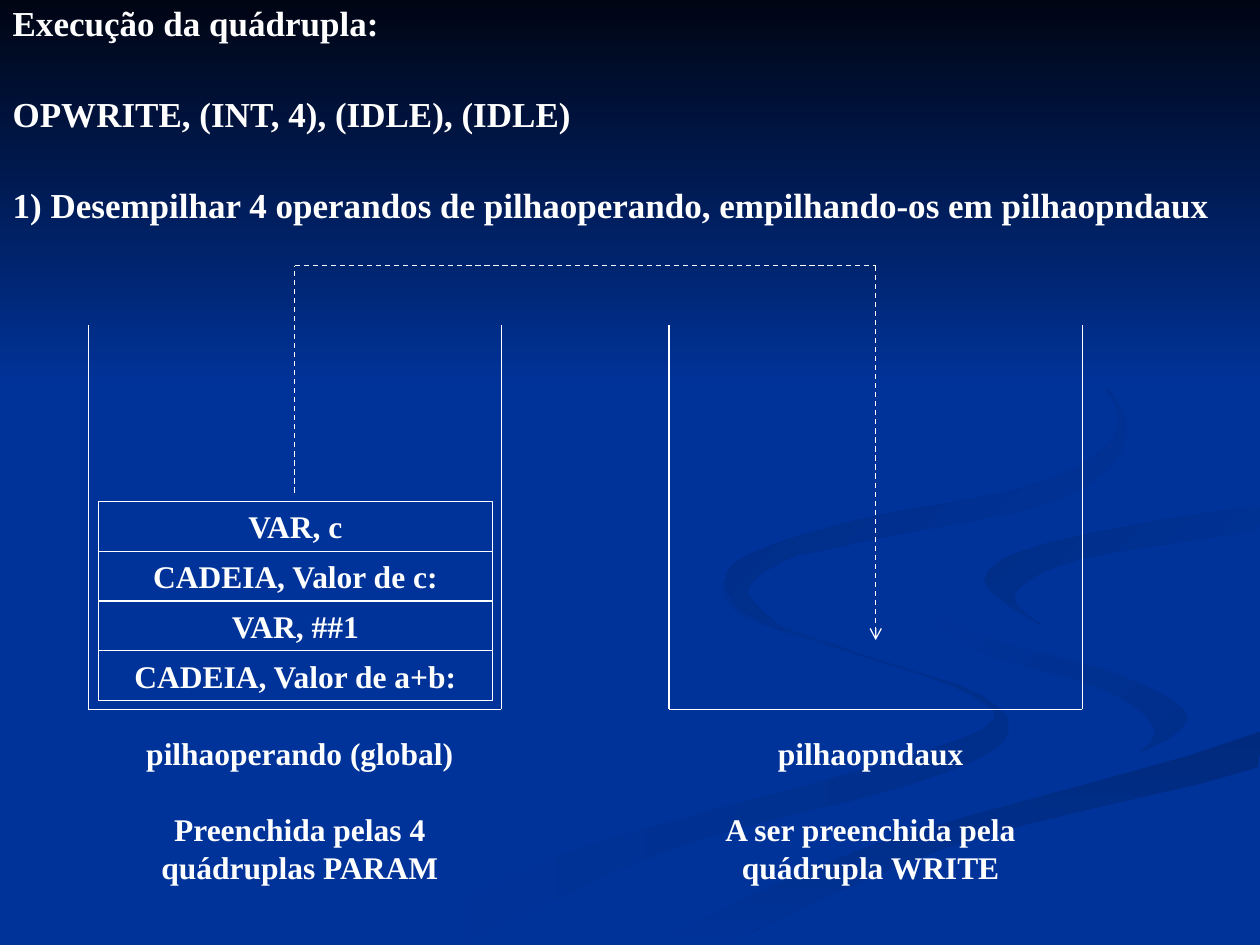
from lxml.etree import SubElement
from pptx import Presentation
from pptx.dml.color import RGBColor
from pptx.enum.dml import MSO_LINE
from pptx.enum.shapes import MSO_CONNECTOR, MSO_SHAPE
from pptx.enum.text import MSO_ANCHOR, MSO_AUTO_SIZE, PP_ALIGN
from pptx.oxml.ns import qn
from pptx.util import Inches, Pt

presentation = Presentation()
presentation.slide_width = Inches(10)
presentation.slide_height = Inches(7.5)
slide = presentation.slides.add_slide(presentation.slide_layouts[1])
shapes = slide.shapes

# All lengths are thousandths of the slide's width
UNIT = presentation.slide_width // 1000
WHITE = "FFFFFF"
BLUE = "003399"


def write(text_frame, lines, size, alignment, gap):
    text_frame.word_wrap = True
    text_frame.text = "\n".join(lines)
    for index, paragraph in enumerate(text_frame.paragraphs):
        paragraph.alignment = alignment
        paragraph.space_before = Pt(gap if index else 0)
        for run in paragraph.runs:
            run.font.name = "Times New Roman"
            run.font.size = Pt(size)
            run.font.bold = True
            run.font.color.rgb = RGBColor.from_string(WHITE)


def connect(start, end, dashed=False):
    points = [value * UNIT for value in (*start, *end)]
    connector = shapes.add_connector(MSO_CONNECTOR.STRAIGHT, *points)
    connector.line.color.rgb = RGBColor.from_string(WHITE)
    connector.line.width = Pt(0.75)
    if dashed:
        connector.line.dash_style = MSO_LINE.DASH
    SubElement(connector._element.spPr, qn("a:effectLst"))
    return connector


# Background: winding ribbons, then the dark band across the top
slide.background.fill.solid()
slide.background.fill.fore_color.rgb = RGBColor.from_string(BLUE)

# Each ribbon: first colour, last colour, clockwise angle, outline
ribbons = [
    (BLUE, "002E8B", 0, [
        (781, 553), (682, 519), (594, 485), (575, 459), (586, 487), (679, 519), (770, 551),
        (780, 579), (652, 620), (458, 674), (300, 749), (361, 749), (532, 674),
        (721, 623), (797, 588)]),
    (BLUE, "002E8B", 45, [
        (943, 570), (888, 535), (774, 503), (724, 464), (766, 512), (880, 549),
        (917, 581), (894, 605)]),
    ("002A7D", BLUE, 90, [
        (503, 749), (571, 749), (752, 672), (998, 609), (998, 581), (764, 647), (599, 706)]),
    (BLUE, BLUE, 0, [
        (725, 464), (775, 503), (889, 535), (943, 575), (843, 618), (663, 668), (477, 749),
        (519, 747), (696, 669), (999, 581), (999, 538), (832, 498), (781, 463), (850, 427),
        (999, 402), (999, 387), (788, 422)]),
    ("002D86", BLUE, 45, [
        (781, 460), (826, 496), (805, 472), (859, 443), (998, 420), (998, 402), (835, 430)]),
    ("002B82", BLUE, 45, [
        (683, 430), (841, 396), (894, 344), (854, 283), (762, 233), (846, 279), (889, 335),
        (830, 382), (676, 414), (584, 446), (584, 479), (622, 500), (593, 470), (624, 444)]),
]
backdrop = []
for first, last, angle, outline in ribbons:
    # Round the outline with a closed Catmull-Rom curve, four steps a side
    curve = []
    for index, current in enumerate(outline):
        before = outline[index - 1]
        after, beyond = (outline[(index + step) % len(outline)] for step in (1, 2))
        for share in (0, 0.25, 0.5, 0.75):
            curve.append(tuple(
                min(1000, round(b + share / 2 * (
                    c - a + share * (2 * a - 5 * b + 4 * c - d
                                     + share * (3 * b - a - 3 * c + d)))))
                for a, b, c, d in zip(before, current, after, beyond)))
    builder = shapes.build_freeform(*curve[0], scale=UNIT)
    builder.add_line_segments(curve[1:], close=True)
    backdrop.append((builder.convert_to_shape(), first, last, angle))
band = shapes.add_shape(MSO_SHAPE.RECTANGLE, 0, 0, presentation.slide_width, 308 * UNIT)
backdrop.append((band, "000514", BLUE, 90))

for area, first, last, angle in backdrop:
    area.shadow.inherit = False
    area.line.fill.background()
    area.fill.gradient()
    area.fill.gradient_angle = -angle % 360
    for stop, color in zip(area.fill.gradient_stops, (first, last)):
        stop.color.rgb = RGBColor.from_string(color)

# Heading lines in the body placeholder, raised above the backdrop
title, body = slide.placeholders
title._element.getparent().remove(title._element)
shapes._spTree.append(body._element)
body.left, body.top = 0, 0
body.width, body.height = presentation.slide_width, presentation.slide_height
write(body.text_frame, [
    "Execução da quádrupla:",
    "OPWRITE, (INT, 4), (IDLE), (IDLE)",
    "1) Desempilhar 4 operandos de pilhaoperando, empilhando-os em pilhaopndaux",
], 20, PP_ALIGN.LEFT, 31)
body.text_frame.auto_size = MSO_AUTO_SIZE.NONE
body.text_frame.vertical_anchor = MSO_ANCHOR.TOP
for paragraph in body.text_frame.paragraphs:
    paragraph.line_spacing = Pt(21)
    properties = paragraph._p.get_or_add_pPr()
    properties.set("marL", "0")
    properties.set("indent", "0")
    SubElement(properties, qn("a:buNone"))

# Two open stacks with their captions
stack_top, stack_bottom, stack_width = 258, 563, 328
captions = [
    (70, 78, ["pilhaoperando (global)", "Preenchida pelas 4 quádruplas PARAM"]),
    (531, 531, ["pilhaopndaux", "A ser preenchida pela quádrupla WRITE"]),
]
for left, caption_left, lines in captions:
    right = left + stack_width
    connect((left, stack_top), (left, stack_bottom))
    connect((left, stack_bottom), (right, stack_bottom))
    connect((right, stack_top), (right, stack_bottom))
    caption = shapes.add_textbox(caption_left * UNIT, 578 * UNIT, 320 * UNIT, 130 * UNIT)
    write(caption.text_frame, lines, 18, PP_ALIGN.CENTER, 21.5)

# Operands in the first stack, from top to bottom
operands = ["VAR, c", "CADEIA, Valor de c:", "VAR, ##1", "CADEIA, Valor de a+b:"]
operands_top = 398
operand_height = (556 - operands_top) / len(operands)
for row, operand in enumerate(operands):
    top = int((operands_top + row * operand_height) * UNIT)
    box = shapes.add_shape(MSO_SHAPE.RECTANGLE, 78 * UNIT, top,
                           313 * UNIT, int(operand_height * UNIT))
    box.shadow.inherit = False
    box.fill.background()
    box.line.color.rgb = RGBColor.from_string(WHITE)
    box.line.width = Pt(0.75)
    write(box.text_frame, [operand], 18, PP_ALIGN.CENTER, 0)

# Dashed route from the first stack to the second
route = [(234, 391), (234, 211), (695, 211), (695, 508)]
for start, end in zip(route, route[1:]):
    segment = connect(start, end, dashed=True)
line_properties = segment.line._get_or_add_ln()
SubElement(line_properties, qn("a:tailEnd"), type="arrow")

presentation.save("out.pptx")
